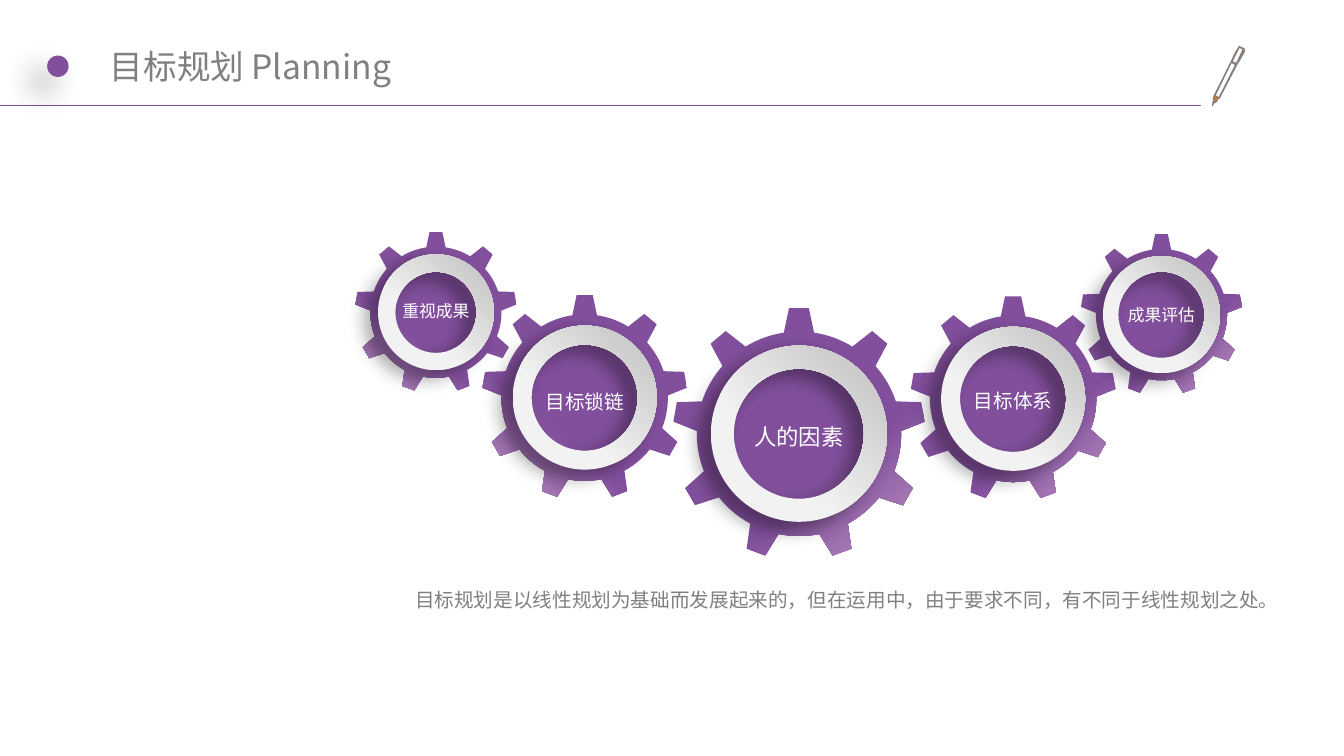
from dataclasses import dataclass
from math import cos, radians, sin

from lxml import etree
from pptx import Presentation
from pptx import util as u
from pptx.dml.color import RGBColor
from pptx.enum import shapes, text
from pptx.oxml.ns import qn

COLORS = {
    "purple": "824F9C",
    "lilac": "BD95C3",
    "gray": "808080",
    "orange": "DA751A",
    "ring_light": "F2F2F2",
    "ring_dark": "BFBFBF",
    "white": "FFFFFF",
    "shadow": "000000",
}
BODY_FONT = "Arial Narrow"
CJK_FONT = "Noto Sans CJK SC"

# Gear geometry: radius is the tooth tip, root is a share of it
TEETH = 9
ROOT = 0.81
TIP_HALF_ANGLE = 4.5
ROOT_HALF_ANGLE = 8.5
ARC_STEPS = 8

Point = tuple[float, float]


@dataclass
class Gear:
    label: str
    x: float
    y: float
    radius: float
    ring: float
    ring_adj: float
    size: int
    label_dy: float
    angle: int = 310


GEARS = [
    Gear("人的因素", 20.14, 10.93, 3.18, 4.44, 0.131, 16, 0.08),
    Gear("目标体系", 25.54, 10.05, 2.59, 3.63, 0.132, 14, 0.05),
    Gear("成果评估", 29.28, 7.93, 2.04, 2.95, 0.132, 12, 0),
    Gear("目标锁链", 14.74, 10.02, 2.59, 3.63, 0.132, 14, 0.09, 230),
    Gear("重视成果", 10.99, 7.87, 2.04, 2.92, 0.15, 12, -0.05, 230),
]

PEN = [
    # silhouette
    [(31.37, 1.24), (31.34, 1.22), (31.24, 1.17), (31.12, 1.37), (31.04, 1.55),
     (30.61, 2.41), (30.58, 2.49), (30.61, 2.51), (30.58, 2.57), (30.56, 2.67),
     (30.61, 2.57), (30.63, 2.59), (30.68, 2.54), (30.71, 2.46), (30.73, 2.49),
     (31.17, 1.65), (31.29, 1.37), (31.32, 1.32), (31.34, 1.32), (31.22, 1.55),
     (31.22, 1.57), (31.37, 1.3)],
    # barrel opening
    [(31.14, 1.65), (30.73, 2.46), (30.63, 2.41), (30.89, 1.88), (31.04, 1.57),
     (31.14, 1.63)],
    # cap opening
    [(31.17, 1.6), (31.06, 1.55), (31.24, 1.19), (31.34, 1.24)],
]


def rgb(name: str) -> RGBColor:
    return RGBColor.from_string(COLORS[name])


def add_outline(slide, contours: list[list[Point]]):
    """Draw closed contours, given in centimetres, as one freeform."""
    paths = [[(u.Cm(x), u.Cm(y)) for x, y in contour] for contour in contours]
    builder = slide.shapes.build_freeform(*paths[0][0])
    for i, path in enumerate(paths):
        if i:
            builder.move_to(*path[0])
        builder.add_line_segments(path[1:], close=True)
    sp = builder.convert_to_shape()
    sp.shadow.inherit = False
    return sp


def fill_gradient(sp, start: str, start_pos: float, end: str, angle: int) -> None:
    sp.fill.gradient()
    sp.fill.gradient_angle = angle
    for stop, name, pos in zip(sp.fill.gradient_stops, (start, end), (start_pos, 1)):
        stop.color.rgb = rgb(name)
        stop.position = pos
    sp.line.fill.background()


def add_shadow(sp, blur: int, distance: int, direction: int) -> None:
    sp.shadow.inherit = False
    effects = sp._element.spPr.find(qn("a:effectLst"))
    outer = etree.SubElement(
        effects, qn("a:outerShdw"), blurRad=str(u.Pt(blur)), dist=str(u.Pt(distance)),
        dir=str(direction * 60000), algn="ctr", rotWithShape="0")
    color = etree.SubElement(outer, qn("a:srgbClr"), val=COLORS["shadow"])
    etree.SubElement(color, qn("a:alpha"), val="40000")


def format_run(r, size: int, color: str, font: str) -> None:
    r.font.size = u.Pt(size)
    r.font.color.rgb = rgb(color)
    r.font.name = font
    etree.SubElement(r._r.get_or_add_rPr(), qn("a:ea"), typeface=CJK_FONT)


def add_label(slide, label: str, x: float, y: float, size: int, color: str) -> None:
    """Place one unwrapped line of text centred on a point."""
    width = len(label) * size * 0.0353 + 0.51
    height = size * 0.0423 + 0.25
    sp = slide.shapes.add_textbox(
        u.Cm(x - width / 2), u.Cm(y - height / 2), u.Cm(width), u.Cm(height))
    tf = sp.text_frame
    tf.word_wrap = False
    tf.auto_size = text.MSO_AUTO_SIZE.SHAPE_TO_FIT_TEXT
    tf.text = label
    p = tf.paragraphs[0]
    p.alignment = text.PP_ALIGN.CENTER
    format_run(p.runs[0], size, color, BODY_FONT)


def gear_points(gear: Gear) -> list[Point]:
    def polar(radius: float, degrees: float) -> Point:
        a = radians(degrees)
        return gear.x + radius * sin(a), gear.y - radius * cos(a)

    pitch = 360 / TEETH
    root = gear.radius * ROOT
    valley = pitch - 2 * ROOT_HALF_ANGLE
    points = []
    for tooth in range(TEETH):
        mid = tooth * pitch
        points += [polar(gear.radius, mid - TIP_HALF_ANGLE),
                   polar(gear.radius, mid + TIP_HALF_ANGLE)]
        points += [polar(root, mid + ROOT_HALF_ANGLE + valley * i / ARC_STEPS)
                   for i in range(ARC_STEPS + 1)]
    return points


def add_ring(slide, gear: Gear) -> None:
    sp = slide.shapes.add_shape(
        shapes.MSO_SHAPE.DONUT, u.Cm(gear.x - gear.ring / 2),
        u.Cm(gear.y - gear.ring / 2), u.Cm(gear.ring), u.Cm(gear.ring))
    sp.adjustments[0] = gear.ring_adj
    fill_gradient(sp, "ring_light", 0.36, "ring_dark", 45)
    add_shadow(sp, 14, 10, 147)


def add_header(slide) -> None:
    # Rule
    rule = slide.shapes.add_connector(
        shapes.MSO_CONNECTOR.STRAIGHT, u.Cm(0), u.Cm(2.67), u.Cm(30.28), u.Cm(2.67))
    rule.line.color.rgb = rgb("purple")
    rule.line.width = u.Pt(0.75)
    etree.SubElement(rule._element.spPr, qn("a:effectLst"))

    # Dot
    dot = slide.shapes.add_shape(
        shapes.MSO_SHAPE.OVAL, u.Cm(1.19), u.Cm(1.4), u.Cm(0.54), u.Cm(0.54))
    dot.fill.solid()
    dot.fill.fore_color.rgb = rgb("purple")
    dot.line.fill.background()
    add_shadow(dot, 22, 15, 135)

    # Pen
    pen = add_outline(slide, PEN)
    pen.fill.solid()
    pen.fill.fore_color.rgb = rgb("orange")
    pen.line.color.rgb = rgb("gray")
    pen.line.width = u.Pt(0.75)

    # Title
    title = slide.shapes.add_textbox(u.Cm(2.59), u.Cm(0.48), u.Cm(27.74), u.Cm(2.39))
    tf = title.text_frame
    tf.word_wrap = True
    tf.vertical_anchor = text.MSO_ANCHOR.MIDDLE
    tf.margin_left = tf.margin_right = u.Cm(0.18)
    tf.margin_top = tf.margin_bottom = u.Cm(0.1)
    tf.text = "目标规划 Planning"
    format_run(tf.paragraphs[0].runs[0], 24, "gray", CJK_FONT)


def main() -> None:
    prs = Presentation()
    prs.slide_width, prs.slide_height = u.Cm(33.88), u.Cm(19.05)
    s = prs.slides.add_slide(prs.slide_layouts[6])
    add_header(s)

    # Caption
    add_label(s, "目标规划是以线性规划为基础而发展起来的，但在运用中，由于要求不同，"
                 "有不同于线性规划之处。", 21.11, 15.11, 14, "gray")

    # Gears, then their rings and labels
    for gear in GEARS:
        sp = add_outline(s, [gear_points(gear)])
        fill_gradient(sp, "purple", 0.65, "lilac", gear.angle)
    for gear in GEARS:
        add_ring(s, gear)
        add_label(s, gear.label, gear.x, gear.y + gear.label_dy, gear.size, "white")

    prs.save("out.pptx")


if __name__ == "__main__":
    main()
